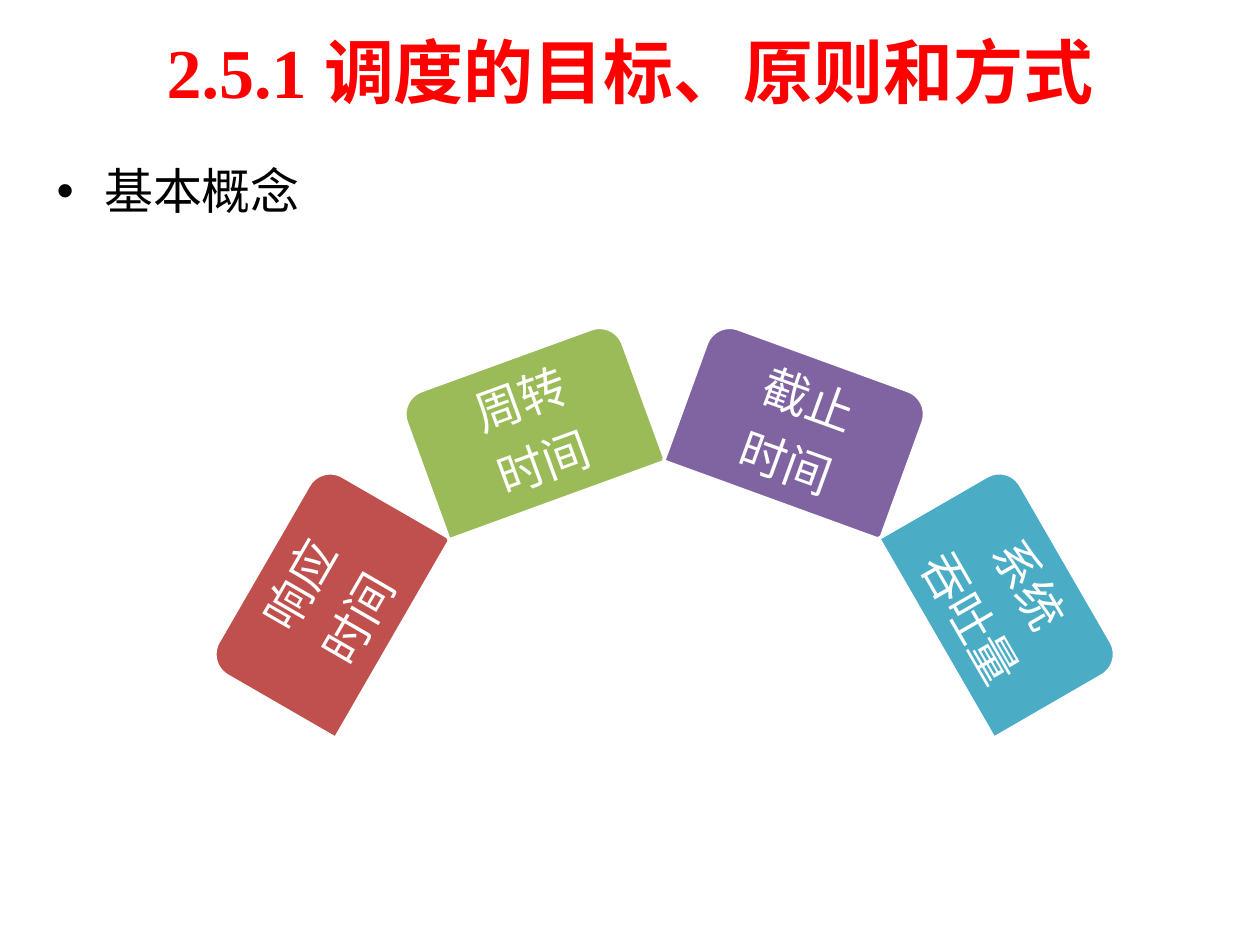
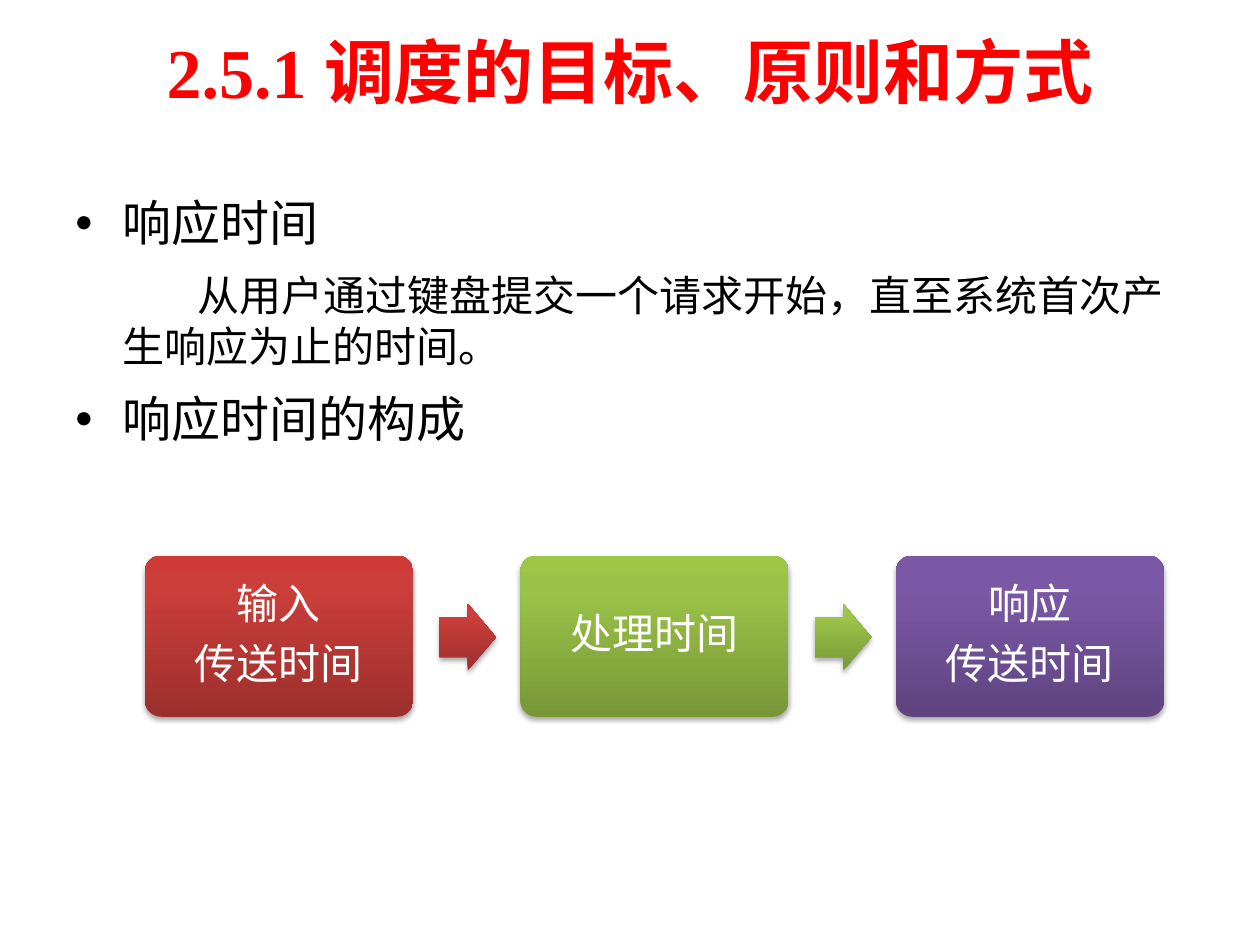
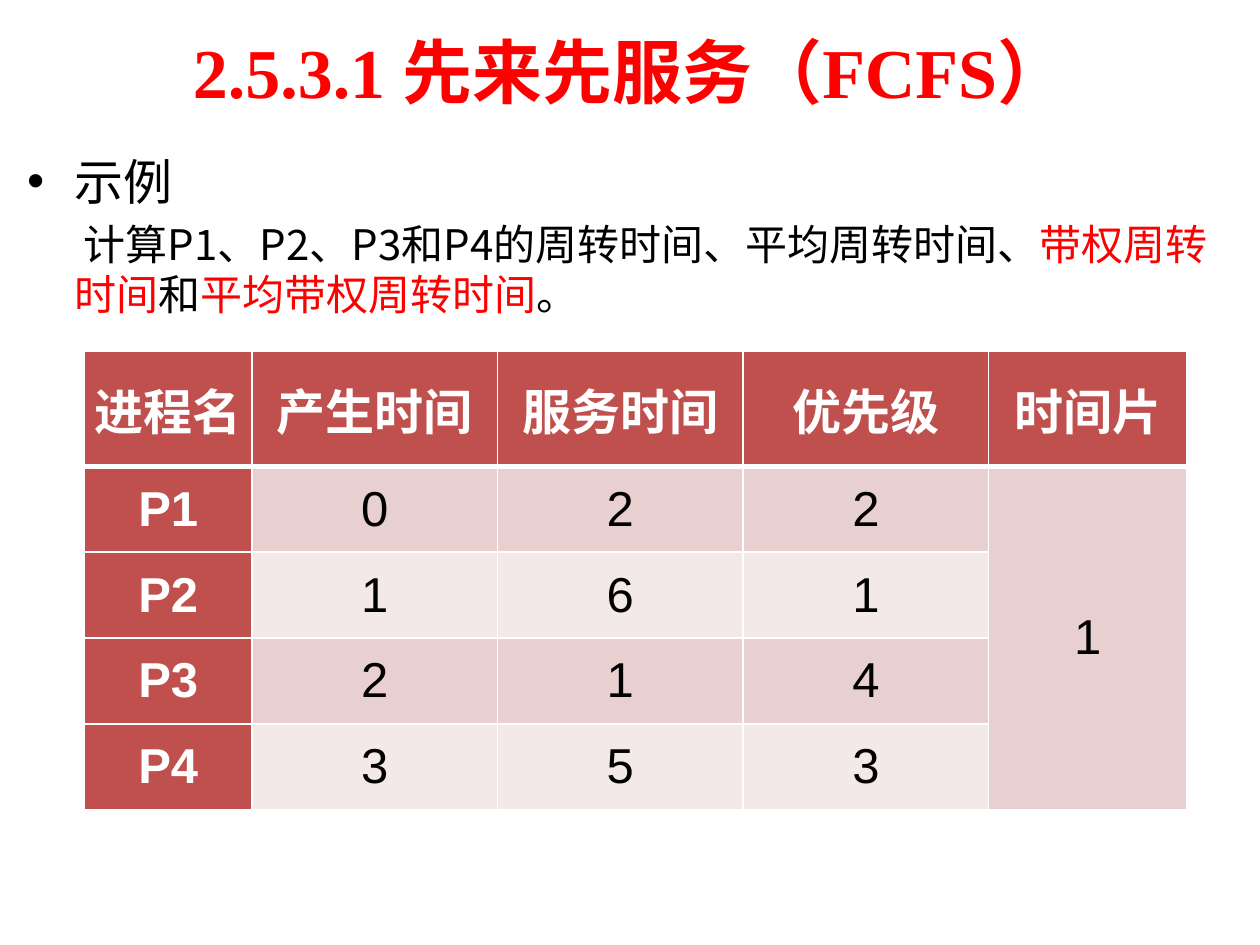
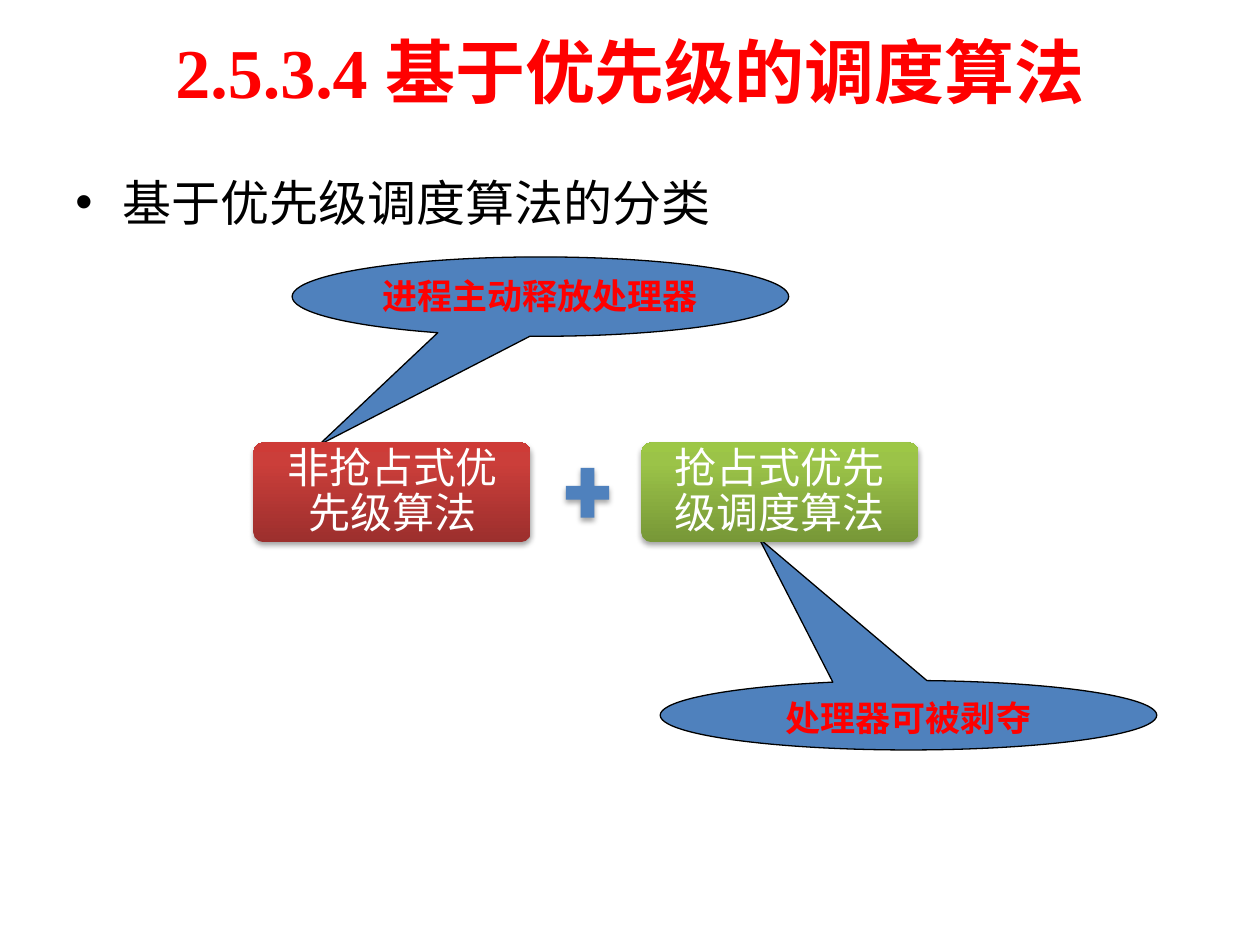
from dataclasses import dataclass
from math import cos, radians, sin

from lxml import etree
from pptx import Presentation
from pptx.dml.color import RGBColor
from pptx.enum.shapes import MSO_SHAPE
from pptx.enum.text import MSO_ANCHOR, PP_ALIGN
from pptx.oxml.ns import qn
from pptx.util import Cm, Pt

CENTER, LEFT = PP_ALIGN.CENTER, PP_ALIGN.LEFT
MIDDLE, TOP = MSO_ANCHOR.MIDDLE, MSO_ANCHOR.TOP
ROUNDED, TAB = MSO_SHAPE.ROUNDED_RECTANGLE, MSO_SHAPE.ROUND_2_SAME_RECTANGLE
ARROW, PLUS = MSO_SHAPE.RIGHT_ARROW, MSO_SHAPE.MATH_PLUS
CALLOUT = MSO_SHAPE.OVAL_CALLOUT


@dataclass(frozen=True)
class Theme:
    black: str = "000000"
    white: str = "FFFFFF"
    title_red: str = "FF0000"
    accent_red: str = "FE0000"
    blue: str = "4F81BD"
    brick: str = "C0504D"
    green: str = "9BBB59"
    purple: str = "8064A2"
    teal: str = "4BACC6"
    band_dark: str = "E8D0D0"
    band_light: str = "F4E9E9"
    red_gradient: tuple = ("9C2F2D", "CB3E3A", "CE3B37")
    green_gradient: tuple = ("779737", "9BC348", "9DC746")
    purple_gradient: tuple = ("5F4480", "7B58A6", "7C57A8")
    gradient_stops: tuple = (0, 80, 100)
    serif: str = "Times New Roman"
    sans: str = "Arial"
    label: str = "Calibri"
    chinese: str = "Noto Sans CJK SC"
    title_size: int = 40
    bullet_size: int = 28
    arc_size: int = 27
    text_size: int = 24
    callout_size: int = 20


THEME = Theme()
HANGING = 0.96
SCHEDULING_TITLE = "2.5.1 调度的目标、原则和方式"


def rgb(colour):
    return RGBColor.from_string(colour)


def add_run(paragraph, text, size, font, colour, bold=False):
    run = paragraph.add_run()
    run.text = text
    run.font.size = Pt(size)
    run.font.name = font
    run.font.bold = bold
    run.font.color.rgb = rgb(colour)


def set_margins(target, horizontal, vertical):
    target.margin_left = target.margin_right = Cm(horizontal)
    target.margin_top = target.margin_bottom = Cm(vertical)


def add_text_box(slide, left, top, width, height, anchor=TOP):
    box = slide.shapes.add_textbox(Cm(left), Cm(top), Cm(width), Cm(height))
    frame = box.text_frame
    frame.word_wrap = True
    frame.vertical_anchor = anchor
    return frame


def add_title(slide, text, left=1.27, width=22.86):
    paragraph = add_text_box(slide, left, 0.13, width, 2.59, MIDDLE).paragraphs[0]
    paragraph.alignment = CENTER
    add_run(paragraph, text, THEME.title_size, THEME.serif, THEME.title_red, True)


def next_paragraph(frame):
    """Return the empty first paragraph of a frame, or a new one."""
    first = frame.paragraphs[0]
    return frame.add_paragraph() if first.runs else first


def add_body_paragraph(frame, size, indent, space_after):
    paragraph = next_paragraph(frame)
    paragraph.alignment = LEFT
    paragraph.space_before = Pt(size * 0.2)
    if space_after:
        paragraph.space_after = Pt(size * 0.2)
    properties = paragraph._p.get_or_add_pPr()
    properties.set("marL", str(Cm(HANGING)))
    properties.set("indent", str(Cm(indent)))
    return paragraph


def add_bullet(frame, text, space_after=False):
    paragraph = add_body_paragraph(frame, THEME.bullet_size, -HANGING, space_after)
    properties = paragraph._p.get_or_add_pPr()
    etree.SubElement(properties, qn("a:buFont"), typeface=THEME.sans)
    etree.SubElement(properties, qn("a:buChar"), char="•")
    add_run(paragraph, text, THEME.bullet_size, THEME.serif, THEME.black)


def add_explanation(frame, segments, indent, font, space_after=False):
    """Add an unbulleted paragraph of (text, colour) segments."""
    paragraph = add_body_paragraph(frame, THEME.text_size, indent, space_after)
    for text, colour in segments:
        add_run(paragraph, text, THEME.text_size, font, colour)


def add_plain_shape(slide, kind, left, top, width, height, fill=None, line=None, line_width=1):
    shape = slide.shapes.add_shape(kind, Cm(left), Cm(top), Cm(width), Cm(height))
    shape.shadow.inherit = False
    if fill:
        shape.fill.solid()
        shape.fill.fore_color.rgb = rgb(fill)
    if line:
        shape.line.color.rgb = rgb(line)
        shape.line.width = Pt(line_width)
    else:
        shape.line.fill.background()
    return shape


def add_color_element(parent, colour):
    return etree.SubElement(parent, qn("a:srgbClr"), val=colour)


def set_gradient(shape, colours):
    """Fill from the first colour at the bottom to the last at the top."""
    shape.fill.background()
    properties = shape._element.spPr
    gradient = etree.Element(qn("a:gradFill"), rotWithShape="1")
    stops = etree.SubElement(gradient, qn("a:gsLst"))
    for position, colour in zip(THEME.gradient_stops, colours):
        stop = etree.SubElement(stops, qn("a:gs"), pos=str(position * 1000))
        add_color_element(stop, colour)
    etree.SubElement(gradient, qn("a:lin"), ang="16200000", scaled="0")
    properties.replace(properties.find(qn("a:noFill")), gradient)


def add_soft_shadow(shape):
    effects = shape._element.spPr.find(qn("a:effectLst"))
    shadow = etree.SubElement(
        effects, qn("a:outerShdw"), blurRad=str(Pt(3.1)), dist=str(Pt(1.8)),
        dir="5400000", rotWithShape="0")
    etree.SubElement(add_color_element(shadow, THEME.black), qn("a:alpha"), val="35000")


def write_label(shape, lines, size, horizontal=0.25, vertical=0.25):
    frame = shape.text_frame
    frame.word_wrap = True
    frame.vertical_anchor = MIDDLE
    set_margins(frame, horizontal, vertical)
    for line in lines:
        paragraph = next_paragraph(frame)
        paragraph.alignment = CENTER
        paragraph.line_spacing = 0.9
        paragraph.space_after = Pt(size * 0.35)
        add_run(paragraph, line, size, THEME.label, THEME.white)


def add_glossy_shape(slide, kind, left, top, width, height, colours, adjustments):
    shape = add_plain_shape(slide, kind, left, top, width, height)
    for index, value in enumerate(adjustments):
        shape.adjustments[index] = value
    set_gradient(shape, colours)
    add_soft_shadow(shape)
    return shape


def add_glossy_box(slide, left, top, width, height, colours, lines):
    box = add_glossy_shape(slide, ROUNDED, left, top, width, height, colours, [0.1])
    write_label(box, lines, THEME.text_size)


def add_callout(slide, left, top, width, height, tip, text):
    callout = add_plain_shape(slide, CALLOUT, left, top, width, height,
                              THEME.blue, THEME.black, 0.75)
    callout.adjustments[0], callout.adjustments[1] = tip
    frame = callout.text_frame
    frame.word_wrap = True
    frame.vertical_anchor = TOP
    paragraph = frame.paragraphs[0]
    paragraph.alignment = CENTER
    add_run(paragraph, text, THEME.callout_size, THEME.sans, THEME.accent_red, True)


def set_cell_borders(cell, top_width, bottom_width):
    properties = cell._tc.get_or_add_tcPr()
    for side, width in (("L", 1), ("R", 1), ("T", top_width), ("B", bottom_width)):
        line = etree.SubElement(properties, qn(f"a:ln{side}"), w=str(Pt(width)))
        add_color_element(etree.SubElement(line, qn("a:solidFill")), THEME.white)


def style_cell(cell, row, column, text):
    is_heading = row == 0 or column == 0
    band = THEME.band_dark if row % 2 else THEME.band_light
    set_cell_borders(cell, 3 if row == 1 else 1, 3 if row == 0 else 1)
    cell.fill.solid()
    cell.fill.fore_color.rgb = rgb(THEME.brick if is_heading else band)
    cell.vertical_anchor = MIDDLE
    set_margins(cell, 0.18, 0)
    if text:
        paragraph = cell.text_frame.paragraphs[0]
        paragraph.alignment = CENTER
        add_run(paragraph, text, THEME.bullet_size, THEME.sans,
                THEME.white if is_heading else THEME.black, is_heading)


def add_process_table(slide, rows, column_widths, row_heights, left, top):
    frame = slide.shapes.add_table(
        len(rows), len(column_widths), Cm(left), Cm(top),
        Cm(sum(column_widths)), Cm(sum(row_heights)))
    table = frame.table
    table.horz_banding = False
    for column, width in zip(table.columns, column_widths):
        column.width = Cm(width)
    for table_row, height in zip(table.rows, row_heights):
        table_row.height = Cm(height)
    for row, texts in enumerate(rows):
        for column, text in enumerate(texts):
            style_cell(table.cell(row, column), row, column, text)
    last_column = len(column_widths) - 1
    table.cell(1, last_column).merge(table.cell(len(rows) - 1, last_column))


def build_concepts(slide):
    add_title(slide, SCHEDULING_TITLE)
    add_bullet(add_text_box(slide, 0.89, 3.12, 22.86, 12.57), "基本概念", True)
    center_x, center_y, radius = 13.4, 16.03, 7.83
    width, height = 4.65, 3.02
    concepts = (
        (-60, THEME.brick, ("响应", "时间")),
        (-20, THEME.green, ("周转", "时间")),
        (20, THEME.purple, ("截止", "时间")),
        (60, THEME.teal, ("系统", "吞吐量")),
    )
    for angle, colour, lines in concepts:
        left = center_x + radius * sin(radians(angle)) - width / 2
        top = center_y - radius * cos(radians(angle)) - height / 2
        tab = add_plain_shape(slide, TAB, left, top, width, height, colour, THEME.white, 2)
        tab.rotation = angle % 360
        write_label(tab, lines, THEME.arc_size, 0.28, 0.1)


def build_response_time(slide):
    add_title(slide, SCHEDULING_TITLE)
    body = add_text_box(slide, 1.27, 3.76, 22.86, 12.57)
    add_bullet(body, "响应时间", True)
    definition = "从用户通过键盘提交一个请求开始，直至系统首次产生响应为止的时间。"
    add_explanation(body, [(definition, THEME.black)], 1.5, THEME.serif, True)
    add_bullet(body, "响应时间的构成", True)
    stages = (
        (THEME.red_gradient, ("输入", "传送时间")),
        (THEME.green_gradient, ("处理时间",)),
        (THEME.purple_gradient, ("响应", "传送时间")),
    )
    for index, (colours, lines) in enumerate(stages):
        left = 2.92 + 7.57 * index
        add_glossy_box(slide, left, 11.2, 5.41, 3.25, colours, lines)
        if index < len(stages) - 1:
            add_glossy_shape(slide, ARROW, left + 5.94, 12.17, 1.14, 1.35,
                             colours, [0.6, 0.5])


def build_fcfs(slide):
    add_title(slide, "2.5.3.1 先来先服务（FCFS）")
    body = add_text_box(slide, 0.3, 2.92, 24.61, 13.59)
    add_bullet(body, "示例")
    add_explanation(body, [
        ("计算P1、P2、P3和P4的周转时间、平均周转时间、", THEME.black),
        ("带权周转时间", THEME.accent_red),
        ("和", THEME.black),
        ("平均带权周转时间", THEME.accent_red),
        ("。", THEME.black),
    ], 0.18, THEME.chinese)
    rows = (
        ("进程名", "产生时间", "服务时间", "优先级", "时间片"),
        ("P1", "0", "2", "2", "1"),
        ("P2", "1", "6", "1", ""),
        ("P3", "2", "1", "4", ""),
        ("P4", "3", "5", "3", ""),
    )
    add_process_table(slide, rows, [3.38] + [4.95] * 3 + [3.99],
                      [2.31] + [1.73] * 4, 1.7, 7.09)


def build_priority(slide):
    add_title(slide, "2.5.3.4 基于优先级的调度算法", 0, 25.4)
    add_bullet(add_text_box(slide, 1.27, 3.35, 21.82, 3.18), "基于优先级调度算法的分类")
    add_callout(slide, 5.89, 5.18, 10.01, 1.6, (-0.447, 1.874), "进程主动释放处理器")
    add_callout(slide, 13.31, 13.72, 10.01, 1.4, (-0.301, -2.549), "处理器可被剥夺")
    box_top, box_width, box_height = 8.92, 5.59, 2.01
    add_glossy_box(slide, 5.11, box_top, box_width, box_height,
                   THEME.red_gradient, ["非抢占式优先级算法"])
    plus = add_plain_shape(slide, PLUS, 11.25, 9.25, 1.19, 1.37, THEME.blue)
    add_soft_shadow(plus)
    add_glossy_box(slide, 12.93, box_top, box_width, box_height,
                   THEME.green_gradient, ["抢占式优先级调度算法"])


def main():
    presentation = Presentation()
    presentation.slide_width, presentation.slide_height = Cm(25.4), Cm(19.05)
    blank = presentation.slide_layouts[6]
    for build in (build_concepts, build_response_time, build_fcfs, build_priority):
        build(presentation.slides.add_slide(blank))
    presentation.save("out.pptx")


if __name__ == "__main__":
    main()
